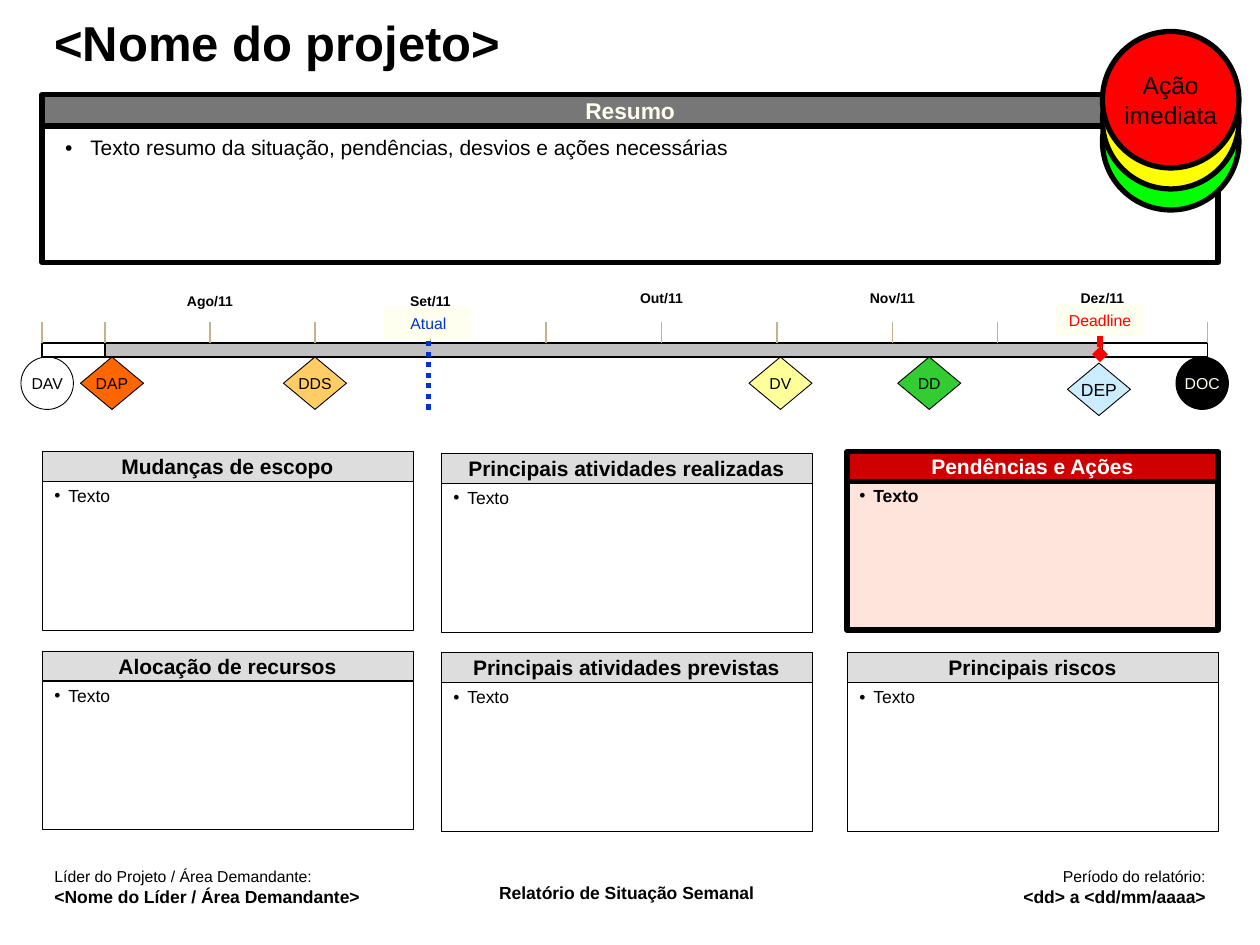
from dataclasses import dataclass

from lxml import etree
from pptx import Presentation, util as u
from pptx.dml.color import RGBColor
from pptx.enum import dml, shapes, text
from pptx.oxml.ns import qn

KIND = shapes.MSO_SHAPE
ALIGN = text.PP_ALIGN
ANCHOR = text.MSO_ANCHOR


@dataclass(frozen=True)
class Theme:
    font: str = "Arial"
    black: str = "000000"
    white: str = "FFFFFF"
    ivory: str = "FFFFEF"
    banner: str = "777777"
    header: str = "DDDDDD"
    bar: str = "C0C0C0"
    tick: str = "C7B18B"
    alert: str = "CE0000"
    alert_body: str = "FFE4DB"
    red: str = "FF0000"
    yellow: str = "FFFF00"
    green: str = "00FF00"
    blue: str = "0033CC"
    dap: str = "FF6600"
    dds: str = "FFCC66"
    dv: str = "FFFF99"
    dd: str = "33CC33"
    dep: str = "CCECFF"
    title: float = 28
    light: float = 14
    summary: float = 13
    heading: float = 12
    body: float = 10
    small: float = 9
    month: float = 8
    thick: float = 3
    medium: float = 1
    thin: float = 0.5
    hair: float = 0.25


T = Theme()


def apply(target, values):
    for name, value in values.items():
        setattr(target, name, value)


def node(parent, tag, **attrs):
    return etree.SubElement(parent, qn(tag), attrs)


class Deck:
    def __init__(self, theme, width, height):
        self.t = theme
        self.prs = Presentation()
        apply(self.prs, {"slide_width": u.Pt(width), "slide_height": u.Pt(height)})
        self.s = self.prs.slides.add_slide(self.prs.slide_layouts[6])

    def frame(self, tf, inset=(7.2, 3.6), anchor=ANCHOR.TOP, wrap=True, auto=None):
        dx, dy = (u.Pt(v) for v in inset)
        apply(tf, {"margin_left": dx, "margin_right": dx, "margin_top": dy,
                   "margin_bottom": dy, "vertical_anchor": anchor,
                   "word_wrap": wrap, "auto_size": auto})

    def words(self, p, content, size, color=None, bold=False, bullet=0, **spacing):
        r = p.add_run()
        r.text = content
        apply(r.font, {"size": u.Pt(size), "bold": bold, "name": self.t.font})
        r.font.color.rgb = RGBColor.from_string(color or self.t.black)
        apply(p, spacing)
        if bullet:
            pPr = p._p.get_or_add_pPr()
            indent = u.Pt(bullet)
            pPr.set("marL", str(indent))
            pPr.set("indent", str(-indent))
            node(node(pPr, "a:buClr"), "a:srgbClr", val=self.t.black)
            node(pPr, "a:buFont", typeface=self.t.font)
            node(pPr, "a:buChar", char="•")

    def shape(self, kind, box, fill, line=0):
        sp = self.s.shapes.add_shape(kind, *map(u.Pt, box))
        sp.shadow.inherit = False
        sp.fill.solid()
        sp.fill.fore_color.rgb = RGBColor.from_string(fill)
        if line:
            sp.line.width = u.Pt(line)
            sp.line.color.rgb = RGBColor.from_string(self.t.black)
        else:
            sp.line.fill.background()
        return sp

    def label(self, sp, content, size, color=None, bold=False, **frame):
        self.frame(sp.text_frame, **frame)
        self.words(sp.text_frame.paragraphs[0], content, size, color, bold,
                   alignment=ALIGN.CENTER)

    def textbox(self, box, lines, align=ALIGN.LEFT, **frame):
        tf = self.s.shapes.add_textbox(*map(u.Pt, box)).text_frame
        self.frame(tf, **frame)
        for i, (content, size, bold) in enumerate(lines):
            p = tf.add_paragraph() if i else tf.paragraphs[0]
            self.words(p, content, size, bold=bold, alignment=align)

    def header(self, box, content, size, fill, color, line):
        sp = self.shape(KIND.RECTANGLE, box, fill, line)
        self.label(sp, content, size, color, True, inset=(7.2, 6.5),
                   anchor=ANCHOR.MIDDLE)

    def panel(self, x, y, title, fill=T.header, color=T.black, body=T.white,
              line=T.hair, bold=False):
        width, head = 212, 17
        sp = self.shape(KIND.RECTANGLE, (x, y + head, width, 85), body, line)
        self.frame(sp.text_frame)
        self.words(sp.text_frame.paragraphs[0], "Texto", self.t.body, bold=bold,
                   bullet=8, alignment=ALIGN.LEFT, line_spacing=0.9,
                   space_before=u.Pt(3.1))
        self.header((x, y, width, head), title, self.t.heading, fill, color, line)

    def table(self, box, content):
        gf = self.s.shapes.add_table(1, 1, *map(u.Pt, box))
        apply(gf.table, {"first_row": False, "horz_banding": False})
        cell = gf.table.cell(0, 0)
        tcPr = cell._tc.get_or_add_tcPr()
        for side in ("a:lnL", "a:lnR", "a:lnT", "a:lnB"):
            node(node(tcPr, side), "a:noFill")
        cell.fill.background()
        self.words(cell.text_frame.paragraphs[0], content, self.t.heading,
                   bullet=14.4, line_spacing=1.05, space_before=u.Pt(3))

    def line(self, start, end, color, width, dash=None, head=None):
        c = self.s.shapes.add_connector(shapes.MSO_CONNECTOR.STRAIGHT,
                                        *map(u.Pt, (*start, *end)))
        c.line.width = u.Pt(width)
        c.line.color.rgb = RGBColor.from_string(color)
        if dash:
            c.line.dash_style = dash
        spPr = c._element.spPr
        if head:
            node(spPr.find(qn("a:ln")), "a:headEnd", type=head)
        node(spPr, "a:effectLst")
        return c

    def marker(self, x, y, content, color, foot, **style):
        width, height = 50.4, 18
        sp = self.shape(KIND.RECTANGLE, (x, y, width, height), self.t.ivory)
        self.label(sp, content, self.t.small, color,
                   auto=text.MSO_AUTO_SIZE.SHAPE_TO_FIT_TEXT)
        mid = x + width / 2
        c = self.line((mid, foot), (mid, y + height), color, self.t.thick, **style)
        c.end_connect(sp, 2)

    def milestone(self, kind, box, content, fill, color=T.black, size=T.small):
        sp = self.shape(kind, box, fill, self.t.thin)
        self.label(sp, content, size, color, anchor=ANCHOR.MIDDLE, wrap=False)


def main():
    d = Deck(T, 720, 540)
    d.shape(KIND.RECTANGLE, (24, 72, 672, 78), T.white, T.thick)
    d.header((24, 54, 672, 18), "Resumo", T.summary, T.banner, T.ivory, T.thick)
    d.table((30, 73.5, 600, 71),
            "Texto resumo da situação, pendências, desvios e ações necessárias")

    d.panel(484, 258, "Pendências e Ações", T.alert, T.white, T.alert_body,
            T.thick, True)
    for x, y, title in ((24, 258, "Mudanças de escopo"),
                        (252, 259, "Principais atividades realizadas"),
                        (252, 373, "Principais atividades previstas"),
                        (484, 373, "Principais riscos"),
                        (24, 372, "Alocação de recursos")):
        d.panel(x, y, title)

    d.textbox((24, 6, 672, 36), [("<Nome do projeto>", T.title, True)],
              anchor=ANCHOR.MIDDLE)

    for x, name, fill in ((46, "DAP", T.dap), (162, "DDS", T.dds),
                          (428, "DV", T.dv), (513, "DD", T.dd)):
        d.milestone(KIND.DIAMOND, (x, 204, 36, 30), name, fill)
    d.milestone(KIND.OVAL, (12, 204, 30, 30), "DAV", T.white)
    d.milestone(KIND.OVAL, (672, 204, 30, 30), "DOC", T.black, T.ivory)

    for x, width, fill in ((24, 36, T.white), (630, 60, T.white), (60, 570, T.bar)):
        d.shape(KIND.RECTANGLE, (x, 196, width, 8), fill, T.medium)
    for x in (24, 60, 120, 180, 246, 312, 378, 444, 510, 570, 630, 690):
        d.line((x, 184), (x, 196), T.tick, T.medium)
    for mid, y, width, month in ((120, 163.5, 60, "Ago/11"), (246, 163.5, 72, "Set/11"),
                                 (378, 162, 60, "Out/11"), (510, 162, 72, "Nov/11"),
                                 (630, 162, 72, "Dez/11")):
        d.textbox((mid - width / 2, y, width, 17), [(month, T.month, True)],
                  ALIGN.CENTER, auto=text.MSO_AUTO_SIZE.SHAPE_TO_FIT_TEXT)

    d.textbox((24, 492, 228, 36),
              [("Líder do Projeto / Área Demandante:", T.small, False),
               ("<Nome do Líder / Área Demandante>", T.body, True)])
    d.textbox((484, 492, 212, 36), [("Período do relatório:", T.small, False),
                                    ("<dd> a <dd/mm/aaaa>", T.body, True)], ALIGN.RIGHT)
    d.textbox((252, 492, 212, 36), [("Relatório de Situação Semanal", T.body, True)],
              ALIGN.CENTER, anchor=ANCHOR.MIDDLE)

    d.marker(603.4, 174, "Deadline", T.red, 202.5, head="diamond")
    d.marker(219.6, 175.5, "Atual", T.blue, 234, dash=dml.MSO_LINE.ROUND_DOT)

    for i, fill in enumerate((T.green, T.yellow, T.red)):
        light = d.shape(KIND.OVAL, (630, 42 - 12 * i, 78, 78), fill, T.thick)
    d.label(light, "Ação imediata", T.light, inset=(0, 0), anchor=ANCHOR.MIDDLE)
    d.milestone(KIND.DIAMOND, (610, 207.5, 36, 30), "DEP", T.dep, size=T.body)

    d.prs.save("out.pptx")


if __name__ == "__main__":
    main()
